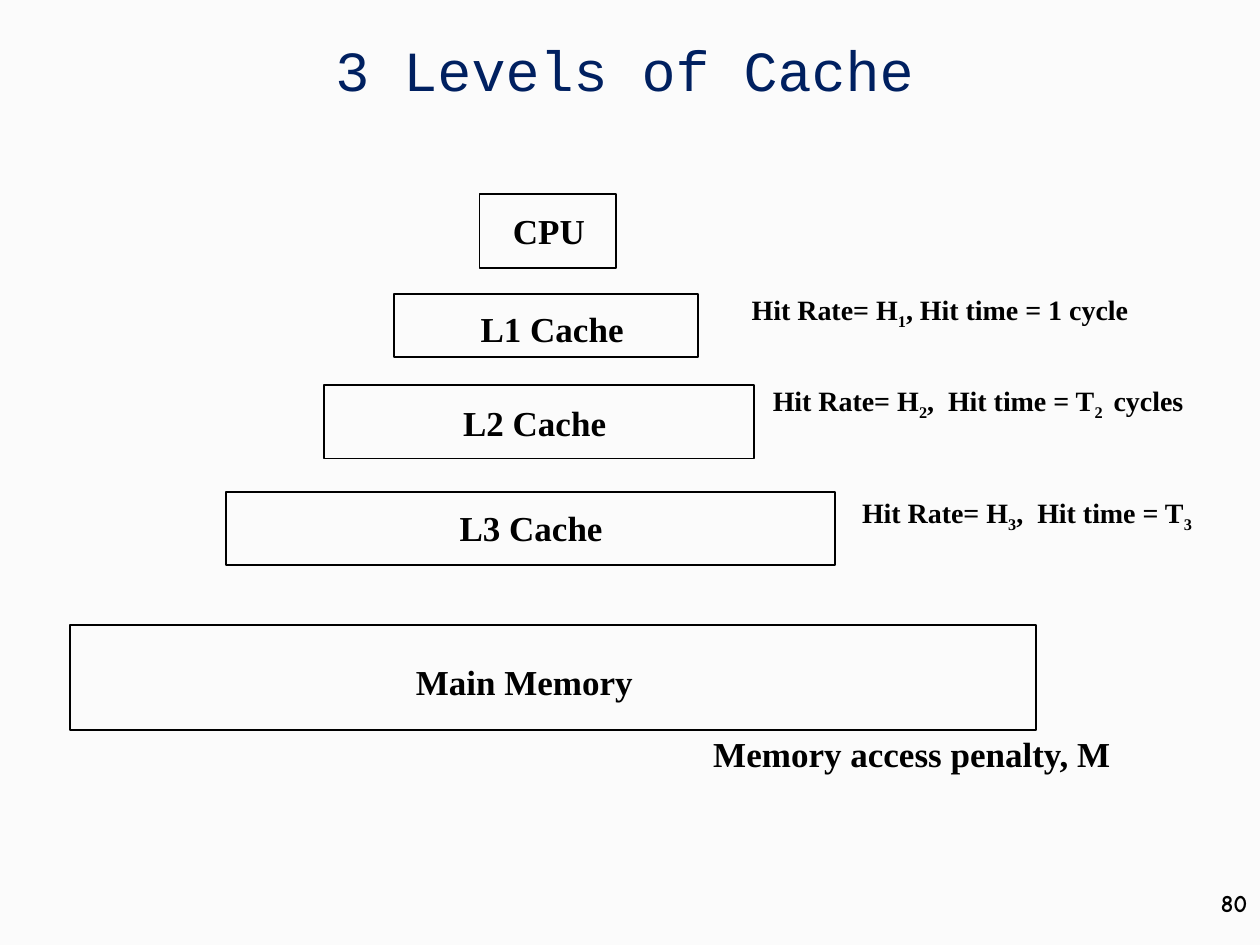
import pptx
import pptx.util
import pptx.dml.color
import pptx.enum.shapes
import pptx.enum.text

Pt = pptx.util.Pt
Align = pptx.enum.text.PP_ALIGN
Anchor = pptx.enum.text.MSO_ANCHOR
Fit = pptx.enum.text.MSO_AUTO_SIZE


def color(code):
    return pptx.dml.color.RGBColor.from_string(code)


class Board:
    ink = "000000"
    face = {"name": "Times New Roman", "size": Pt(20), "bold": True}

    def __init__(self, deck, back):
        self.slide = deck.slides.add_slide(deck.slide_layouts[6])
        fill = self.slide.background.fill
        fill.solid()
        fill.fore_color.rgb = color(back)

    def box(self, left, top, width, height):
        rect = self.slide.shapes.add_shape(
            pptx.enum.shapes.MSO_SHAPE.RECTANGLE,
            Pt(left), Pt(top), Pt(width), Pt(height))
        rect.shadow.inherit = False
        rect.fill.background()
        rect.line.color.rgb = color(self.ink)
        rect.line.width = Pt(1)

    def text(self, words, left, top, width, height, ink=ink,
             align=Align.LEFT, frame=None, **style):
        area = self.slide.shapes.add_textbox(
            Pt(left), Pt(top), Pt(width), Pt(height)).text_frame
        base = {"word_wrap": False, "auto_size": Fit.SHAPE_TO_FIT_TEXT}
        for key, value in (frame or base).items():
            setattr(area, key, value)
        line = area.paragraphs[0]
        line.alignment = align
        for index, part in enumerate(words.split("|")):
            run = line.add_run()
            run.text = part
            for key, value in {**self.face, **style}.items():
                setattr(run.font, key, value)
            run.font.color.rgb = color(ink)
            if index % 2:
                run.font._element.set("baseline", "-25000")


def main():
    deck = pptx.Presentation()
    deck.slide_width, deck.slide_height = Pt(720), Pt(540)
    board = Board(deck, "FBFBFB")
    fixed = {"word_wrap": True, "auto_size": Fit.NONE}

    board.text("80", 570, 504, 150, 36, align=Align.RIGHT, frame=fixed,
               name="Comic Neue", size=Pt(14))
    board.text("3 Levels of Cache", 54, 18, 606, 42.5, ink="002060",
               align=Align.CENTER,
               frame={**fixed, "vertical_anchor": Anchor.MIDDLE},
               name="Courier New", size=Pt(32.4), bold=False)

    levels = [
        ("CPU", (274, 111, 78, 42), (286, 116, 78)),
        ("L1 Cache", (225, 168, 174, 36), (267.5, 172, 98)),
        ("L2 Cache", (185, 220, 246, 42), (257.5, 226, 98)),
        ("L3 Cache", (129, 281, 348, 42), (255.5, 286, 98)),
        ("Main Memory", (40, 357, 552, 60), (230.5, 374, 142)),
    ]
    for name, rect, spot in levels:
        board.box(*rect)
        board.text(name, *spot, 31)

    rates = [
        ("Hit Rate= H|1|, Hit time = 1 cycle", 422.5, 163.5, 232),
        ("Hit Rate= H|2|,  Hit time = T|2 | cycles", 434.5, 215.5, 253),
        ("Hit Rate= H|3|,  Hit time = T|3", 485.5, 279.5, 206),
    ]
    for words, left, top, width in rates:
        board.text(words, left, top, width, 26.5, size=Pt(16))
    board.text("Memory access penalty, M", 400.5, 415, 244, 31)

    deck.save("out.pptx")


if __name__ == "__main__":
    main()
